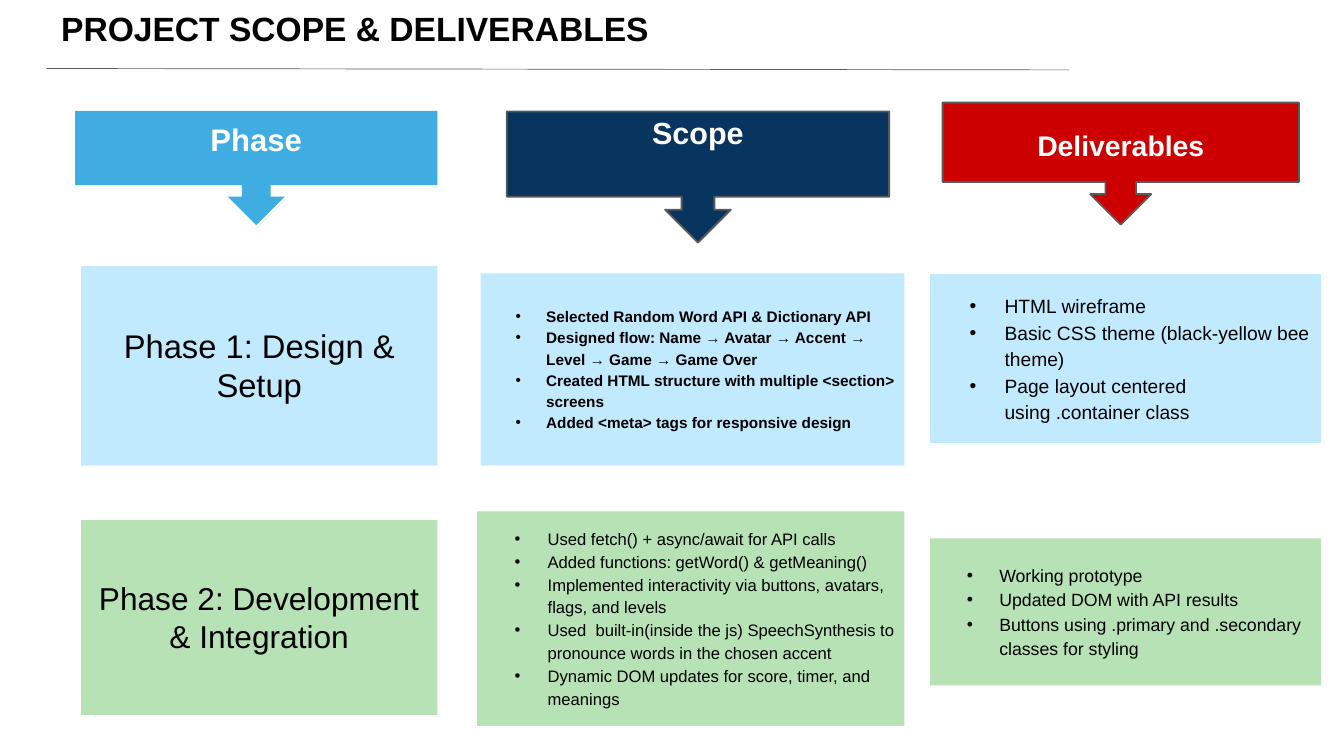
import dataclasses

import lxml.etree
import pptx
import pptx.dml.color
import pptx.enum.shapes
import pptx.enum.text
import pptx.oxml.ns
import pptx.util

Pt = pptx.util.Pt
Align = pptx.enum.text.PP_ALIGN
Anchor = pptx.enum.text.MSO_ANCHOR
Shape = pptx.enum.shapes.MSO_SHAPE


@dataclasses.dataclass(frozen=True)
class Theme:
    font: str = "Arial"
    black: str = "000000"
    white: str = "FFFFFF"
    gray: str = "595959"
    sky: str = "3FACE2"
    navy: str = "083560"
    red: str = "CC0000"
    pale: str = "C1EAFE"
    green: str = "B6E2B6"
    title: float = 36
    heads: tuple = (33.3, 32.7, 30.4)
    phases: tuple = (35.1, 33.9)
    lists: tuple = (16.4, 20.6, 17.8, 19)


THEME = Theme()

HEADS = [
    ("Phase", (80.6, 118.8, 388, 122.4), THEME.sky, None, 4, 46.6),
    ("Scope", (543, 119.5, 409.7, 140.4), THEME.navy, THEME.gray, 2.5, 39.2),
    ("Deliverables", (1010, 110, 381.6, 130.6), THEME.red, THEME.gray, 27.5, 36.5),
]

PHASES = [
    ("Phase 1: Design & Setup", (87, 285, 381.6, 214), THEME.pale, 42.1),
    ("Phase 2: Development & Integration", (87, 557.3, 381.6, 208.8), THEME.green, 40.7),
]

LISTS = [
    ((515, 293, 454, 205.8), THEME.pale, 32.6, 22.7, [
        "Selected Random Word API & Dictionary API",
        "Designed flow: Name → Avatar → Accent → Level → Game → Game Over",
        "Created HTML structure with multiple <section> screens",
        "Added <meta> tags for responsive design",
    ]),
    ((996.5, 293.8, 419, 180.7), THEME.pale, 37.4, 28.4, [
        "HTML wireframe",
        "Basic CSS theme (black-yellow bee theme)",
        "Page layout centered\vusing .container class",
    ]),
    ((511.2, 548, 457.7, 229.7), THEME.green, 35.3, 24.5, [
        "Used fetch() + async/await for API calls",
        "Added functions: getWord() & getMeaning()",
        "Implemented interactivity via buttons, avatars, flags, and levels",
        "Used  built-in(inside the js) SpeechSynthesis to pronounce words in the chosen accent",
        "Dynamic DOM updates for score, timer, and meanings",
    ]),
    ((996.5, 576.8, 419, 157.5), THEME.green, 34.6, 26.2, [
        "Working prototype",
        "Updated DOM with API results",
        "Buttons using .primary and .secondary classes for styling",
    ]),
]


def paint(target, values):
    for name, value in values.items():
        setattr(target, name, value)


def color(text):
    return pptx.dml.color.RGBColor.from_string(text)


def place(shape, box):
    paint(shape, dict(zip(("left", "top", "width", "height"), map(Pt, box))))


def fill(shape, tone):
    shape.fill.solid()
    shape.fill.fore_color.rgb = color(tone)


def frame(shape, anchor, top, side, base):
    paint(shape.text_frame, {
        "word_wrap": True,
        "auto_size": pptx.enum.text.MSO_AUTO_SIZE.NONE,
        "vertical_anchor": anchor,
        "margin_left": Pt(side),
        "margin_right": Pt(side),
        "margin_top": Pt(top),
        "margin_bottom": Pt(base),
    })


def write(para, text, size, tone, bold, align, lead):
    para.text = text
    paint(para, {
        "alignment": align,
        "line_spacing": Pt(lead),
        "space_before": Pt(0),
        "space_after": Pt(0),
    })
    for run in para.runs:
        paint(run.font, {"name": THEME.font, "size": Pt(size), "bold": bold})
        run.font.color.rgb = color(tone)


def bullet(para, indent):
    props = para._p.get_or_add_pPr()
    props.set("marL", str(Pt(2 * indent)))
    props.set("indent", str(-Pt(indent)))
    for tag, key, value in (("a:buFont", "typeface", THEME.font), ("a:buChar", "char", "•")):
        lxml.etree.SubElement(props, pptx.oxml.ns.qn(tag)).set(key, value)


def add_block(slide, kind, box, tone, edge=None):
    shape = slide.shapes.add_shape(kind, *map(Pt, box))
    shape.shadow.inherit = False
    fill(shape, tone)
    if edge:
        shape.line.color.rgb = color(edge)
        shape.line.width = Pt(2)
    else:
        shape.line.fill.background()
    return shape


def add_title(slide, text):
    title = slide.shapes.title
    place(title, (65.5, 8.6, 986, 44.6))
    frame(title, Anchor.TOP, 0, 0, 0)
    write(title.text_frame.paragraphs[0], text, THEME.title, THEME.black, True, Align.LEFT, 43.2)


def add_rule(slide):
    kind = pptx.enum.shapes.MSO_CONNECTOR.STRAIGHT
    rule = slide.shapes.add_connector(kind, *map(Pt, (49.7, 73.4, 1145.5, 74.9)))
    rule.line.color.rgb = color(THEME.gray)
    rule.line.width = Pt(0.75)
    lxml.etree.SubElement(rule._element.spPr, pptx.oxml.ns.qn("a:effectLst"))


def add_head(slide, size, text, box, tone, edge, top, lead):
    head = add_block(slide, Shape.DOWN_ARROW_CALLOUT, box, tone, edge)
    for spot, value in enumerate((0.25, 0.25, 0.25, 0.65)):
        head.adjustments[spot] = value
    frame(head, Anchor.TOP, top, 5, 0)
    write(head.text_frame.paragraphs[0], text, size, THEME.white, True, Align.CENTER, lead)


def add_phase(slide, size, text, box, tone, lead):
    block = add_block(slide, Shape.RECTANGLE, box, tone)
    frame(block, Anchor.MIDDLE, 4, 5, 6)
    write(block.text_frame.paragraphs[0], text, size, THEME.black, False, Align.CENTER, lead)


def fill_list(holder, size, bold, box, tone, indent, lead, items):
    place(holder, box)
    fill(holder, tone)
    frame(holder, Anchor.MIDDLE, 3.5, 5, 6.5)
    body = holder.text_frame
    for spot, item in enumerate(items):
        para = body.add_paragraph() if spot else body.paragraphs[0]
        write(para, item, size, THEME.black, bold, Align.LEFT, lead)
        bullet(para, indent)


def main():
    deck = pptx.Presentation()
    paint(deck, {"slide_width": Pt(1440), "slide_height": Pt(810)})
    slide = deck.slides.add_slide(deck.slide_layouts.get_by_name("Comparison"))
    add_title(slide, "PROJECT SCOPE & DELIVERABLES")
    add_rule(slide)
    for size, head in zip(THEME.heads, HEADS):
        add_head(slide, size, *head)
    for size, phase in zip(THEME.phases, PHASES):
        add_phase(slide, size, *phase)
    holders = [item for item in slide.placeholders if item.placeholder_format.idx > 0]
    for spot, (holder, size, data) in enumerate(zip(holders, THEME.lists, LISTS)):
        fill_list(holder, size, spot == 0, *data)
    deck.save("out.pptx")


if __name__ == "__main__":
    main()
